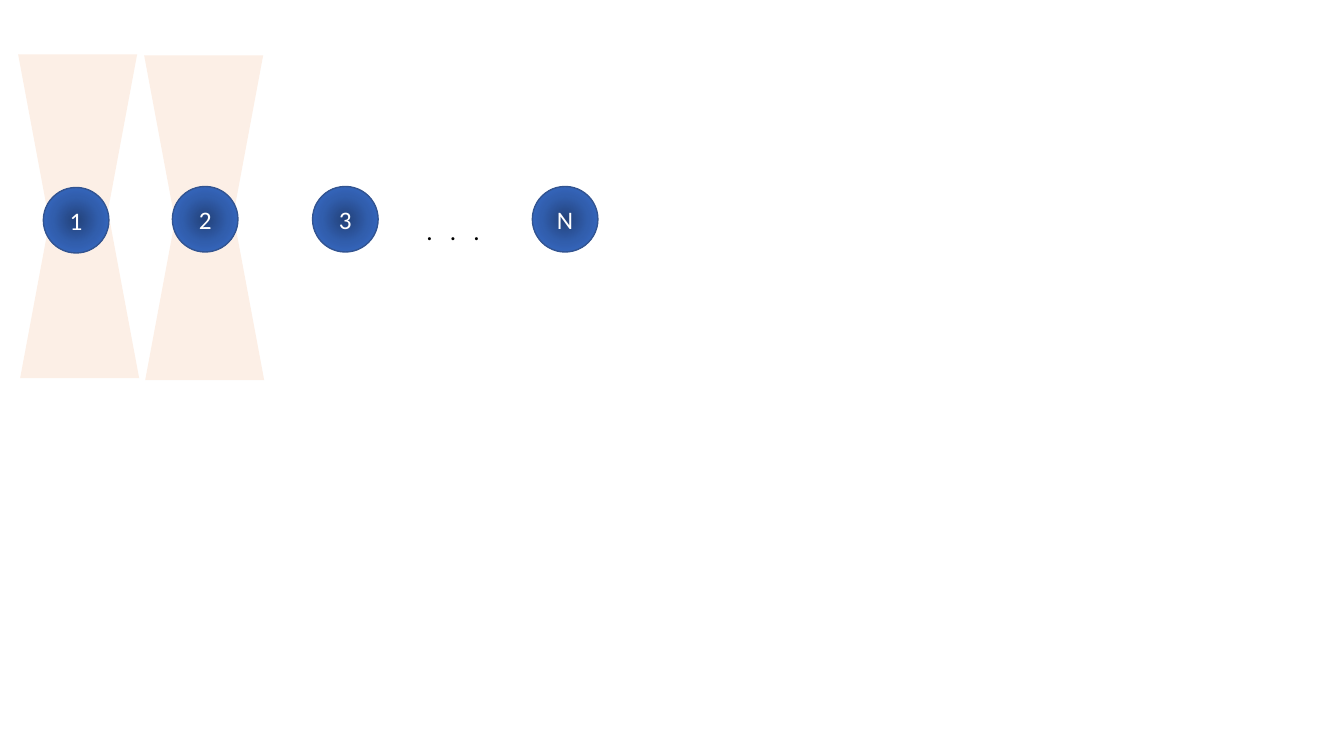
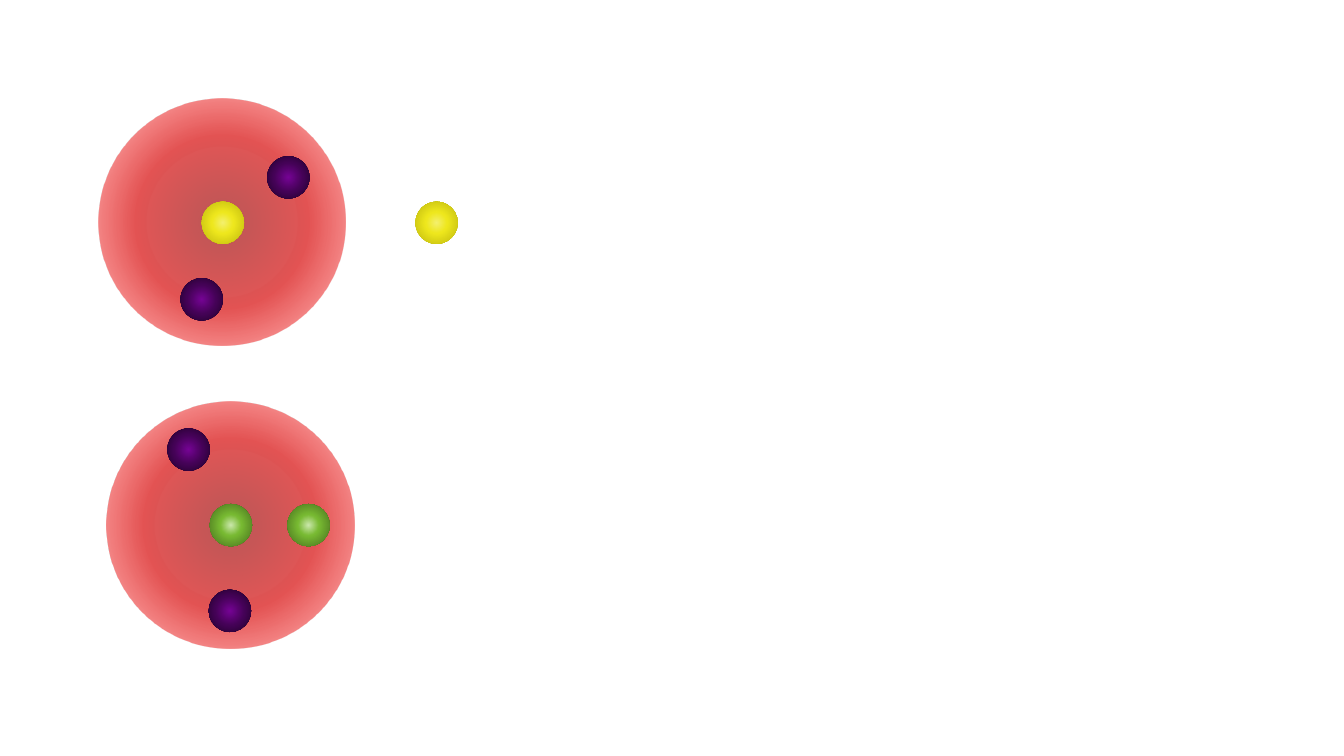
"""Build two slides: trapped numbered atoms, and clouds holding small particles."""
from lxml import etree
from pptx import Presentation
from pptx.dml.color import RGBColor
from pptx.enum.shapes import MSO_SHAPE
from pptx.enum.text import MSO_ANCHOR, PP_ALIGN
from pptx.oxml.ns import qn
from pptx.util import Inches, Pt

OVAL, TRAPEZOID = MSO_SHAPE.OVAL, MSO_SHAPE.TRAPEZOID
CENTER, MIDDLE = PP_ALIGN.CENTER, MSO_ANCHOR.MIDDLE
FONT, FONT_SIZE = "Calibri", 18

COLORS = {"beam": "F4B183", "outline": "325491", "white": "FFFFFF", "black": "000000"}
GRADIENTS = {
    "atom": [(0, "23427A", 100), (50, "315EAD", 100), (100, "3A6FCE", 100)],
    "cloud": [(0, "970000", 66), (50, "D70000", 67), (100, "FF0000", 22)],
    "yellow": [(0, "F4F06E", 100), (36, "EEE71D", 100), (100, "BDB70E", 100)],
    "green": [(0, "CBE8AB", 100), (36, "78BA32", 100), (100, "456B1D", 100)],
    "purple": [(0, "760395", 100), (50, "440256", 100), (100, "1D0124", 100)],
}
BEAM_OPACITY = 20
BEAM_SIZE = (1.18, 1.58)
DIAMETERS = {"atom": 0.65, "cloud": 2.45, "yellow": 0.42, "green": 0.42, "purple": 0.42}

BEAMS = [(1.44, 2.19, 0), (1.43, 0.55, 180), (0.18, 0.54, 180), (0.2, 2.17, 0)]
ATOMS = [("1", 0.43, 1.86), ("2", 1.71, 1.85), ("3", 3.1, 1.85), ("N", 5.28, 1.85)]
ELLIPSIS = (". . .", 4.13, 2.09, 0.85, 0.4)
ELLIPSIS_SPACING = 4.1
BALLS = [
    ("cloud", 0.98, 0.98), ("yellow", 2, 2), ("yellow", 4.12, 2),
    ("cloud", 1.06, 3.98), ("green", 2.08, 5), ("green", 2.85, 5),
    ("purple", 1.79, 2.76), ("purple", 2.07, 5.85),
    ("purple", 2.65, 1.55), ("purple", 1.66, 4.25),
]


def rgb(name):
    return RGBColor.from_string(COLORS[name])


def set_opacity(color, percent):
    etree.SubElement(color, qn("a:alpha"), val=str(percent * 1000))


def radial_fill(sp, stops):
    sp.fill.background()
    old = sp.fill._xPr.find(qn("a:noFill"))
    grad = etree.Element(qn("a:gradFill"), rotWithShape="1")
    gs_list = etree.SubElement(grad, qn("a:gsLst"))
    for position, value, opacity in stops:
        gs = etree.SubElement(gs_list, qn("a:gs"), pos=str(position * 1000))
        color = etree.SubElement(gs, qn("a:srgbClr"), val=value)
        if opacity < 100:
            set_opacity(color, opacity)
    circle = etree.SubElement(grad, qn("a:path"))
    circle.set("path", "circle")
    etree.SubElement(circle, qn("a:fillToRect"), l="50000", t="50000", r="50000", b="50000")
    old.getparent().replace(old, grad)


def add_shape(slide, kind, left, top, width, height):
    sp = slide.shapes.add_shape(kind, Inches(left), Inches(top), Inches(width), Inches(height))
    sp.shadow.inherit = False
    sp.line.fill.background()
    return sp


def add_beam(slide, left, top, rotation):
    sp = add_shape(slide, TRAPEZOID, left, top, *BEAM_SIZE)
    sp.rotation = rotation
    sp.fill.solid()
    sp.fill.fore_color.rgb = rgb("beam")
    set_opacity(sp.fill._xPr.find(qn("a:solidFill"))[0], BEAM_OPACITY)


def add_ball(slide, kind, left, top):
    sp = add_shape(slide, OVAL, left, top, DIAMETERS[kind], DIAMETERS[kind])
    radial_fill(sp, GRADIENTS[kind])
    return sp


def add_text(tf, text, color):
    p = tf.paragraphs[0]
    r = p.add_run()
    r.text = text
    r.font.name = FONT
    r.font.size = Pt(FONT_SIZE)
    r.font.color.rgb = rgb(color)
    return p, r


def add_atom(slide, label, left, top):
    sp = add_ball(slide, "atom", left, top)
    sp.line.color.rgb = rgb("outline")
    sp.line.width = Pt(1)
    sp.text_frame.vertical_anchor = MIDDLE
    p, _ = add_text(sp.text_frame, label, "white")
    p.alignment = CENTER


def add_ellipsis(slide, text, *box):
    tf = slide.shapes.add_textbox(*map(Inches, box)).text_frame
    tf.word_wrap = True
    _, r = add_text(tf, text, "black")
    r.font._element.set("spc", str(round(ELLIPSIS_SPACING * 100)))


def build_traps(slide):
    for beam in BEAMS:
        add_beam(slide, *beam)
    for atom in ATOMS:
        add_atom(slide, *atom)
    add_ellipsis(slide, *ELLIPSIS)


def build_clouds(slide):
    for ball in BALLS:
        add_ball(slide, *ball)


def main():
    prs = Presentation()
    prs.slide_width, prs.slide_height = Inches(13.33), Inches(7.5)
    for build in (build_traps, build_clouds):
        build(prs.slides.add_slide(prs.slide_layouts[6]))
    prs.save("out.pptx")


if __name__ == "__main__":
    main()
